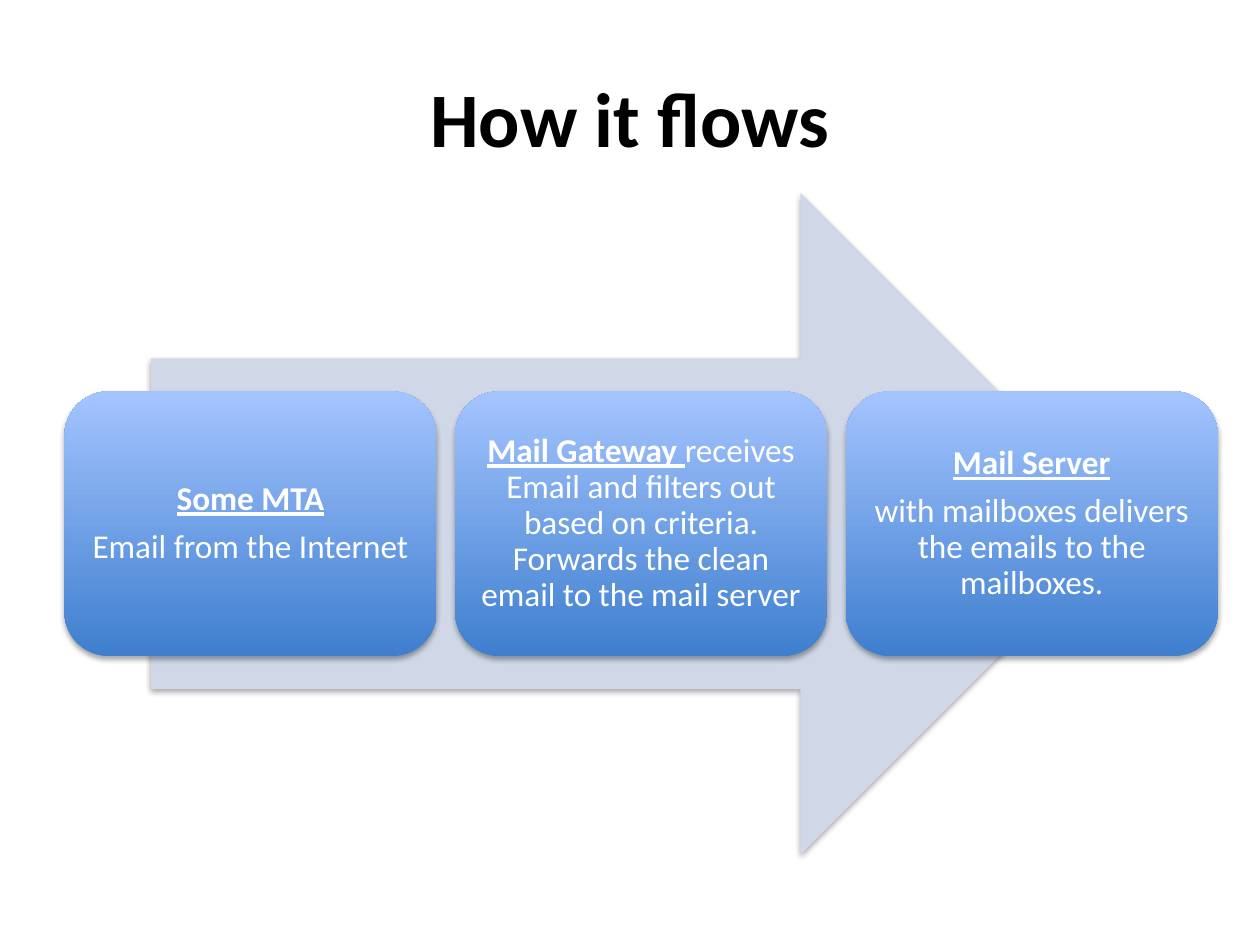
from lxml import etree
from pptx import Presentation
from pptx import util as u
from pptx.dml.color import RGBColor
from pptx.enum import shapes, text
from pptx.oxml.ns import qn

BLACK = RGBColor(0x00, 0x00, 0x00)
WHITE = RGBColor(0xFF, 0xFF, 0xFF)
ARROW_FILL = RGBColor(0xD0, 0xD8, 0xE8)
CARD_BOTTOM = RGBColor(0x3F, 0x7F, 0xCE)
CARD_TOP = RGBColor(0xA4, 0xC4, 0xFF)
FONT = "Calibri"

# One entry per card: paragraphs of (words, is heading) runs
STEPS = [
    [[("Some MTA", True)], [("Email from the Internet", False)]],
    [[("Mail Gateway ", True),
      ("receives Email and filters out based on criteria. "
       "Forwards the clean email to the mail server", False)]],
    [[("Mail Server", True)],
     [("with mailboxes delivers the emails to the mailboxes.", False)]],
]


def add_span(para, words, size, color, bold=False, underline=False):
    span = para.add_run()
    span.text = words
    span.font.name = FONT
    span.font.size = u.Pt(size)
    span.font.color.rgb = color
    span.font.bold = bold
    span.font.underline = underline


def add_soft_shadow(shape):
    shape.shadow.inherit = False
    effects = shape.element.spPr.find(qn("a:effectLst"))
    shadow = etree.SubElement(effects, qn("a:outerShdw"), blurRad="40000",
                              dist="23000", dir="5400000", rotWithShape="0")
    color = etree.SubElement(shadow, qn("a:srgbClr"), val=str(BLACK))
    etree.SubElement(color, qn("a:alpha"), val="35000")


def add_title(page, left, top, width, height):
    box = page.shapes.add_textbox(u.Cm(left), u.Cm(top), u.Cm(width), u.Cm(height))
    frame = box.text_frame
    frame.word_wrap = True
    frame.vertical_anchor = text.MSO_ANCHOR.MIDDLE
    para = frame.paragraphs[0]
    para.alignment = text.PP_ALIGN.CENTER
    add_span(para, "How it flows", 44, BLACK, bold=True)


def add_diagram_shape(group, kind, left, top, width, height):
    shape = group.shapes.add_shape(kind, u.Cm(left), u.Cm(top), u.Cm(width), u.Cm(height))
    shape.line.fill.background()
    add_soft_shadow(shape)
    return shape


def add_card(group, paragraphs, left, top, width, height):
    card = add_diagram_shape(group, shapes.MSO_SHAPE.ROUNDED_RECTANGLE,
                             left, top, width, height)
    card.fill.gradient()
    card.fill.gradient_angle = 90
    for stop, color in zip(card.fill.gradient_stops, (CARD_BOTTOM, CARD_TOP)):
        stop.color.rgb = color

    frame = card.text_frame
    frame.word_wrap = True
    frame.vertical_anchor = text.MSO_ANCHOR.MIDDLE
    frame.margin_left = frame.margin_right = u.Cm(0.2)
    frame.margin_top = frame.margin_bottom = u.Cm(0.2)
    for index, spans in enumerate(paragraphs):
        para = frame.add_paragraph() if index else frame.paragraphs[0]
        para.alignment = text.PP_ALIGN.CENTER
        para.line_spacing = 0.9
        para.space_after = u.Pt(6.65)
        for words, heading in spans:
            add_span(para, words, 19, WHITE, bold=heading, underline=heading)


def add_flow(page, left, top, width, height):
    """Place an arrow with a centred row of step cards over it."""
    group = page.shapes.add_group_shape()
    arrow_width = 0.85 * width
    arrow = add_diagram_shape(group, shapes.MSO_SHAPE.RIGHT_ARROW,
                              left + (width - arrow_width) / 2, top, arrow_width, height)
    arrow.fill.solid()
    arrow.fill.fore_color.rgb = ARROW_FILL

    card_width, card_height = 7.5, 0.4 * height
    pitch = (width - card_width) / (len(STEPS) - 1)
    for index, paragraphs in enumerate(STEPS):
        add_card(group, paragraphs, left + index * pitch,
                 top + (height - card_height) / 2, card_width, card_height)


def main():
    deck = Presentation()
    deck.slide_width, deck.slide_height = u.Cm(25.4), u.Cm(19.05)
    page = deck.slides.add_slide(deck.slide_layouts[6])
    add_title(page, 1.27, 0.76, 22.86, 3.18)
    add_flow(page, 1.3, 3.89, 23.25, 13.34)
    deck.save("out.pptx")


if __name__ == "__main__":
    main()
